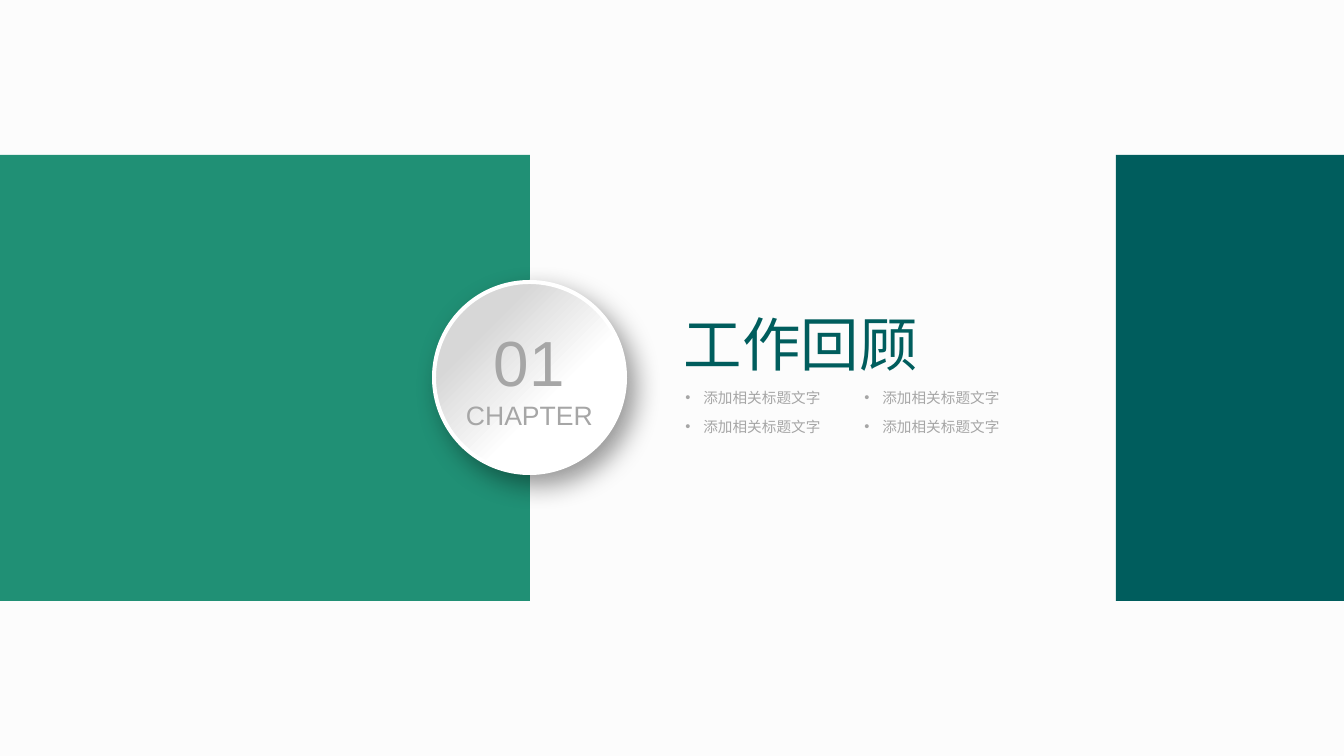
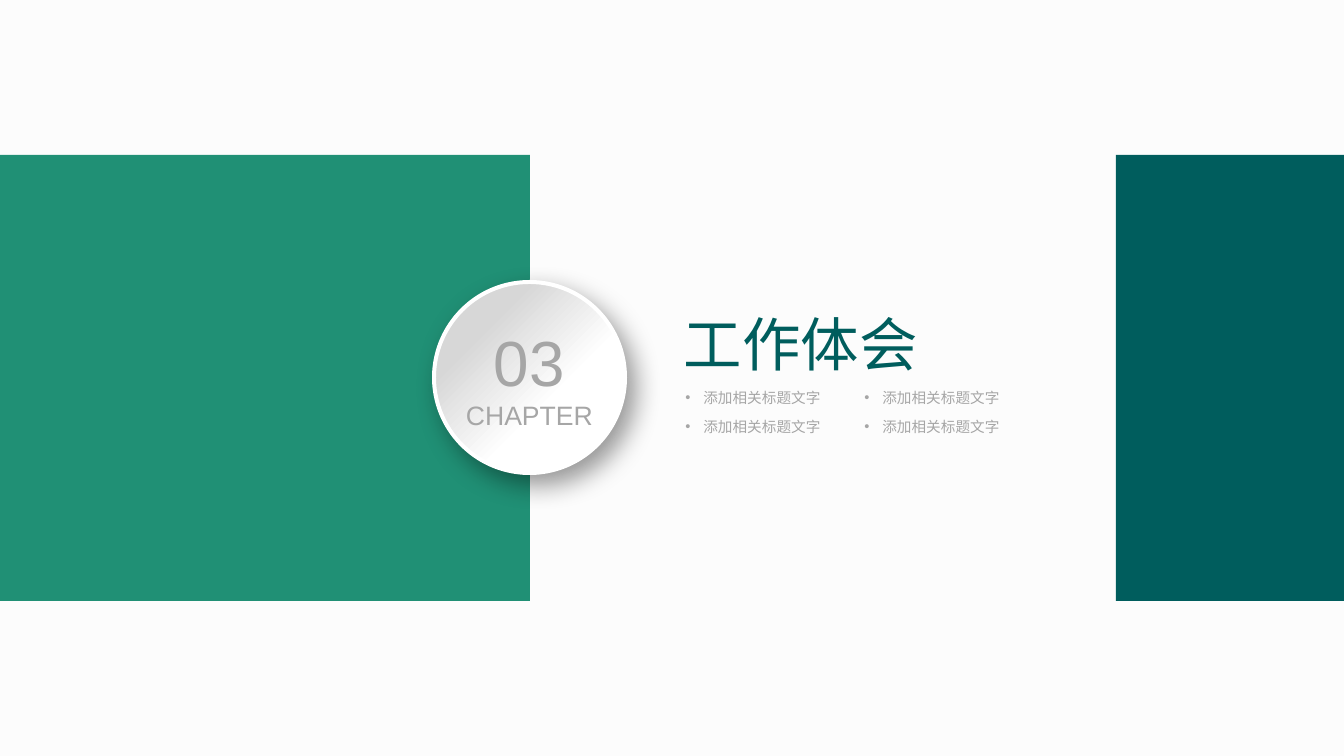
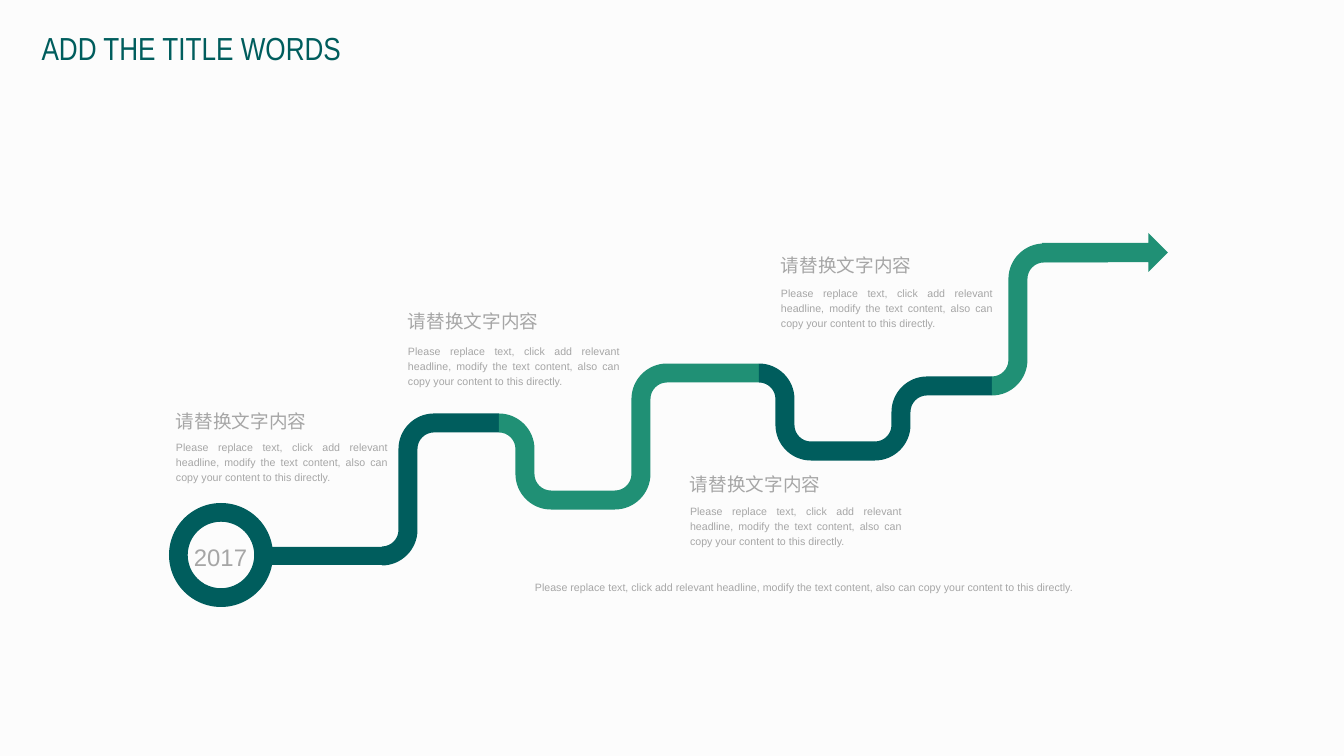
from dataclasses import dataclass

import pptx
import pptx.dml.color
import pptx.enum.shapes
import pptx.enum.text
import pptx.oxml
import pptx.oxml.ns
import pptx.util

SHAPE = pptx.enum.shapes.MSO_SHAPE
ALIGN = pptx.enum.text.PP_ALIGN
ANCHOR = pptx.enum.text.MSO_ANCHOR
NAMESPACE = pptx.oxml.ns.nsdecls("a")

# Content
CHAPTERS = [("01", "工作回顾"), ("03", "工作体会")]
CHAPTER_LABEL = "CHAPTER"
CHAPTER_POINTS = ["添加相关标题文字"] * 4

ROAD_TITLE = "ADD THE TITLE WORDS"
YEAR = "2017"
CAPTION_HEADING = "请替换文字内容"
CAPTION_BODY = ("Please replace text, click add relevant headline, modify the text "
                "content, also can copy your content to this directly.")
# Captions: left, heading top, body top
CAPTION_PLACES = [(408, 305, 342), (690, 468, 502), (781, 249, 284), (176, 405, 438)]


# Theme
@dataclass(frozen=True)
class Theme:
    background: str = "FCFCFC"
    green: str = "209075"
    teal: str = "005D5D"
    gray: str = "A6A6A6"
    silver: str = "D7D7D7"
    white: str = "FFFFFF"
    font: str = "Arial"
    title_font: str = "Arial Narrow"
    chapter_title: int = 44
    number: int = 48
    label: int = 20
    point: int = 11
    road_title: int = 24
    year: int = 18
    heading: int = 14
    body: int = 8


THEME = Theme()

# Road sections: colour, end x, end y; each one starts where the last ended
ROAD_START = (382, 556)
ROAD_SECTIONS = [
    (THEME.teal, 499, 423), (THEME.green, 615, 500), (THEME.green, 759, 373),
    (THEME.teal, 875, 451), (THEME.teal, 992, 386), (THEME.green, 1108, 253),
]
ROAD_WIDTH = 19
BEND_RADIUS = 26
ARC_PULL = 0.55
EMU_PER_PIXEL = 914400 / 95.6


def emu(pixels):
    return pptx.util.Emu(round(pixels * EMU_PER_PIXEL))


def rgb(color):
    return pptx.dml.color.RGBColor.from_string(color)


# Text
def write(shape, lines, color, font=THEME.font, align=ALIGN.LEFT, anchor=ANCHOR.TOP,
          spacing=1.0, inset=True, wrap=True):
    """Fill a shape with (text, size) lines."""
    frame = shape.text_frame
    frame.text = "\n".join(text for text, _ in lines)
    frame.word_wrap = wrap
    frame.auto_size = pptx.enum.text.MSO_AUTO_SIZE.NONE
    frame.vertical_anchor = anchor
    if inset:
        frame.margin_left = frame.margin_right = pptx.util.Inches(0.1)
        frame.margin_top = frame.margin_bottom = pptx.util.Inches(0.05)
    else:
        frame.margin_left = frame.margin_right = frame.margin_top = frame.margin_bottom = 0
    for paragraph, (_, size) in zip(frame.paragraphs, lines):
        paragraph.alignment = align
        paragraph.line_spacing = spacing
        for run in paragraph.runs:
            run.font.name = font
            run.font.size = pptx.util.Pt(size)
            run.font.color.rgb = rgb(color)


def add_text(slide, box, lines, **style):
    shape = slide.shapes.add_textbox(*map(emu, box))
    write(shape, lines, THEME.gray, **style)
    return shape


def add_titled_slide(presentation, box, text, size, **style):
    slide = presentation.slides.add_slide(presentation.slide_layouts[5])
    title = slide.shapes.title
    title.left, title.top, title.width, title.height = map(emu, box)
    write(title, [(text, size)], THEME.teal, **style)
    return slide


def add_bullet(paragraph):
    properties = paragraph._p.get_or_add_pPr()
    indent = pptx.util.Pt(13.5)
    properties.set("marL", str(indent))
    properties.set("indent", str(-indent))
    for tag in (f'buFont {NAMESPACE} typeface="{THEME.font}"', f'buChar {NAMESPACE} char="•"'):
        properties.append(pptx.oxml.parse_xml(f"<a:{tag}/>"))


# Shapes
def paint(shape, color):
    shape.shadow.inherit = False
    shape.fill.solid()
    shape.fill.fore_color.rgb = rgb(color)
    shape.line.fill.background()


def add_block(slide, kind, box, color):
    shape = slide.shapes.add_shape(kind, *map(emu, box))
    paint(shape, color)
    return shape


def add_disc(slide, box):
    disc = slide.shapes.add_shape(SHAPE.OVAL, *map(emu, box))
    disc.fill.gradient()
    disc.fill.gradient_angle = 315
    stops = [(0.25, THEME.silver), (0.62, THEME.white)]
    for stop, (position, color) in zip(disc.fill.gradient_stops, stops):
        stop.position = position
        stop.color.rgb = rgb(color)
    disc.line.color.rgb = rgb(THEME.white)
    disc.line.width = pptx.util.Pt(3)
    disc.shadow.inherit = False
    effects = disc._element.spPr.find(pptx.oxml.ns.qn("a:effectLst"))
    effects.append(pptx.oxml.parse_xml(
        f'<a:outerShdw {NAMESPACE} blurRad="{pptx.util.Pt(20)}" '
        f'dist="{pptx.util.Pt(10)}" dir="{50 * 60000}" algn="tl" rotWithShape="0">'
        '<a:srgbClr val="000000"><a:alpha val="40000"/></a:srgbClr></a:outerShdw>'))


def round_bend(line, start, end, corner):
    """Turn a straight outline step into a quarter-circle curve."""
    controls = [[round(p + ARC_PULL * (c - p)) for p, c in zip(point, corner)]
                for point in (start, end)]
    points = "".join(f'<a:pt x="{x}" y="{y}"/>' for x, y in controls + [end])
    curve = pptx.oxml.parse_xml(f"<a:cubicBezTo {NAMESPACE}>{points}</a:cubicBezTo>")
    line.getparent().replace(line, curve)


def add_road_section(slide, start, end, color):
    """A band that runs right, turns up or down, then turns right again."""
    riser = start[0] + BEND_RADIUS
    turn = 1 if end[1] > start[1] else -1
    first_turn = start[1] + turn * BEND_RADIUS
    second_turn = end[1] - turn * BEND_RADIUS
    edges = []
    for side in (-ROAD_WIDTH / 2, ROAD_WIDTH / 2):
        x, shift = riser - turn * side, side
        edges.append([(start[0], start[1] + shift), (x, first_turn), (x, second_turn),
                      (riser + BEND_RADIUS, end[1] + shift), (end[0], end[1] + shift)])
    outline = [(emu(x), emu(y)) for x, y in edges[0] + edges[1][::-1]]
    builder = slide.shapes.build_freeform(*outline[0], scale=1.0)
    builder.add_line_segments(outline[1:], close=True)
    shape = builder.convert_to_shape()
    paint(shape, color)

    # Bends by outline index: 1 and 7 begin level, 3 and 9 begin upright
    steps = list(next(shape._element.iter(pptx.oxml.ns.qn("a:path"))))
    points = [(x - shape.left, y - shape.top) for x, y in outline]
    for index in (1, 3, 7, 9):
        before, after = points[index - 1], points[index]
        level = index in (1, 7)
        corner = (after[0], before[1]) if level else (before[0], after[1])
        round_bend(steps[index], before, after, corner)


# Chapter slides
def build_chapter(presentation, number, title):
    slide = add_titled_slide(presentation, (684, 308, 333, 71), title,
                             THEME.chapter_title, inset=False)
    add_block(slide, SHAPE.RECTANGLE, (0, 155, 530, 446), THEME.green)
    add_block(slide, SHAPE.RECTANGLE, (1116, 155, 228, 446), THEME.teal)
    add_disc(slide, (434, 282, 191, 191))
    add_text(slide, (450, 322, 159, 109),
             [(number, THEME.number), (CHAPTER_LABEL, THEME.label)],
             align=ALIGN.CENTER, anchor=ANCHOR.MIDDLE, inset=False)
    for index, point in enumerate(CHAPTER_POINTS):
        row, column = divmod(index, 2)
        box = (676 + 179 * column, 384 + 29 * row, 156, 28)
        shape = add_text(slide, box, [(point, THEME.point)], wrap=False)
        add_bullet(shape.text_frame.paragraphs[0])


# Road slide
def build_road(presentation):
    slide = add_titled_slide(presentation, (32, 5, 338, 60), ROAD_TITLE,
                             THEME.road_title, font=THEME.title_font, spacing=1.5)
    start = ROAD_START
    for color, *end in ROAD_SECTIONS:
        add_road_section(slide, start, end, color)
        start = end

    ring = add_block(slide, SHAPE.DONUT, (169, 503, 104, 104), THEME.teal)
    ring.adjustments[0] = 0.18
    add_block(slide, SHAPE.RECTANGLE, (272, 547, 110, 18), THEME.teal)
    arrow = add_block(slide, SHAPE.RIGHT_ARROW, (1042, 233, 126, 39), THEME.green)
    arrow.adjustments[0] = 0.49
    arrow.adjustments[1] = 0.5

    add_text(slide, (177, 537, 87, 34), [(YEAR, THEME.year)],
             align=ALIGN.CENTER, spacing=1.2, inset=False)
    body = [(CAPTION_BODY, THEME.body)]
    body_style = dict(align=ALIGN.JUSTIFY, spacing=1.2, inset=False)
    add_text(slide, (535, 578, 646, 14), body, **body_style)
    for left, heading_top, body_top in CAPTION_PLACES:
        add_text(slide, (left, heading_top, 183, 27), [(CAPTION_HEADING, THEME.heading)],
                 spacing=1.2, inset=False)
        add_text(slide, (left, body_top, 212, 46), body, anchor=ANCHOR.MIDDLE, **body_style)


# Presentation
presentation = pptx.Presentation()
presentation.slide_width, presentation.slide_height = emu(1344), emu(756)
master_fill = presentation.slide_master.background.fill
master_fill.solid()
master_fill.fore_color.rgb = rgb(THEME.background)
for number, title in CHAPTERS:
    build_chapter(presentation, number, title)
build_road(presentation)
presentation.save("out.pptx")
